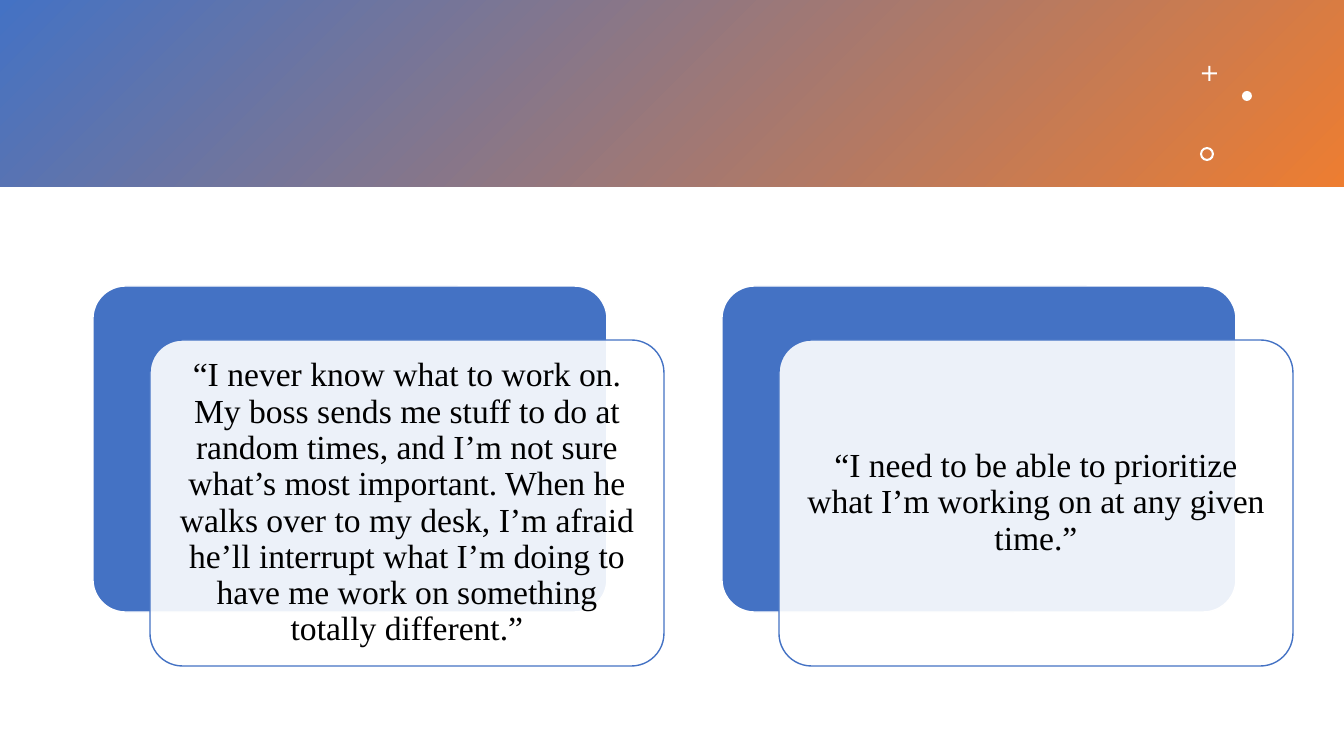
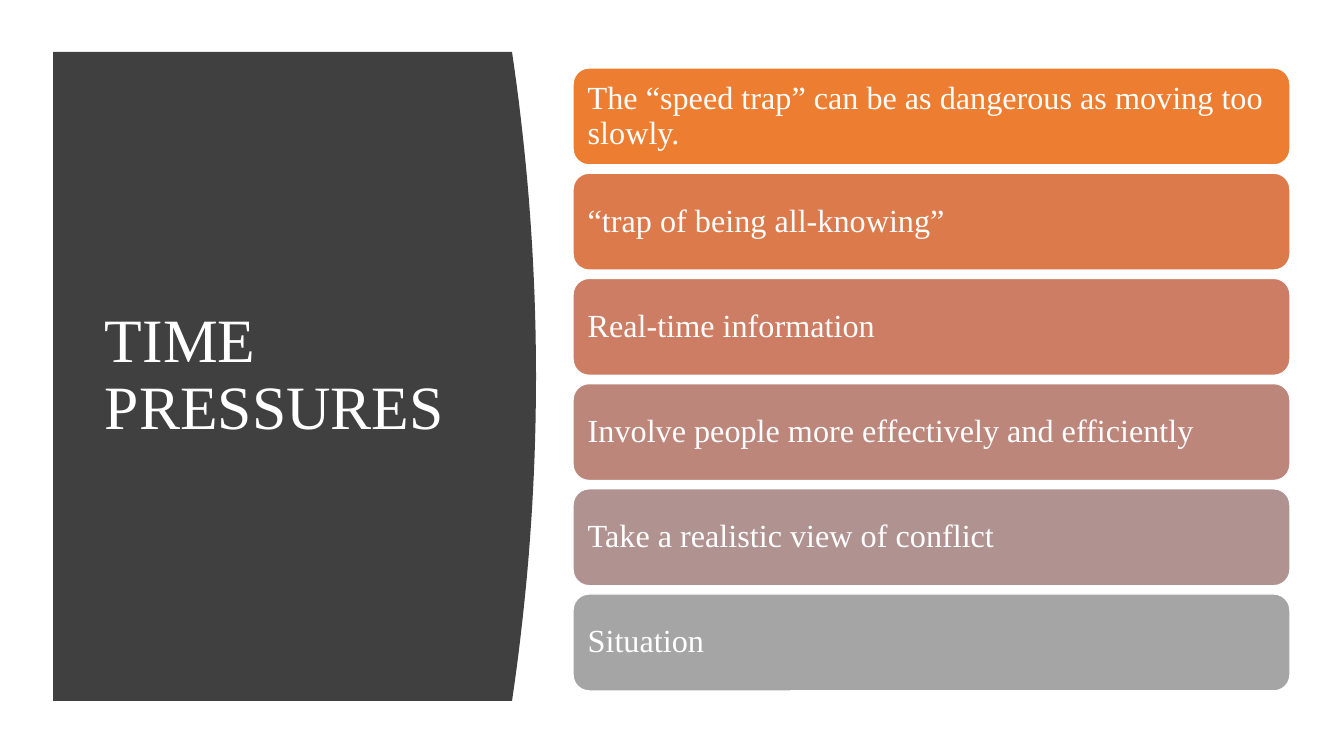
from dataclasses import dataclass

from lxml import etree
from pptx import Presentation
from pptx.dml.color import RGBColor
from pptx.enum.shapes import MSO_SHAPE
from pptx.enum.text import MSO_ANCHOR, PP_ALIGN
from pptx.oxml.ns import qn
from pptx.util import Pt

RECT, ROUNDED = MSO_SHAPE.RECTANGLE, MSO_SHAPE.ROUNDED_RECTANGLE
CROSS, OVAL, DONUT = MSO_SHAPE.CROSS, MSO_SHAPE.OVAL, MSO_SHAPE.DONUT
MIDDLE = MSO_ANCHOR.MIDDLE
LEFT, CENTER = PP_ALIGN.LEFT, PP_ALIGN.CENTER

# Content
QUOTES = [
    "“I never know what to work on. My boss sends me stuff to do at random "
    "times, and I’m not sure what’s most important. When he walks over to my "
    "desk, I’m afraid he’ll interrupt what I’m doing to have me work on "
    "something totally different.”",
    "“I need to be able to prioritize what I’m working on at any given time.”",
]
TITLE = "TIME PRESSURES"
PRESSURES = [  # text, bar colour
    ("The “speed trap” can be as dangerous as moving too slowly.", "ED7D31"),
    ("“trap of being all-knowing”", "DC7A4B"),
    ("Real-time information", "CC7D64"),
    ("Involve people more effectively and efficiently", "BD867B"),
    ("Take a realistic view of conflict", "B09391"),
    ("Situation", "A5A5A5"),
]
BAND_MARKS = [  # shape, left, top, size, adjustment
    (CROSS, 1202, 66, 15, 0.43),
    (OVAL, 1242, 91, 10, None),
    (DONUT, 1200, 147, 14, 0.15),
]


@dataclass(frozen=True)
class Theme:
    font: str = "Times New Roman"
    blue: str = "4472C4"
    orange: str = "ED7D31"
    panel: str = "404040"
    white: str = "FFFFFF"
    black: str = "000000"
    title_size: int = 44
    quote_size: int = 24
    bar_size: int = 23
    line_spacing: float = 0.9
    inset: int = 10


THEME = Theme()
SLIDE_W, SLIDE_H = 1344, 756
EMU_PER_PX = 12192000 / SLIDE_W


def px(length):
    return round(length * EMU_PER_PX)


def rgb(colour):
    return RGBColor.from_string(colour)


def style(shape, fill, line=None):
    shape.shadow.inherit = False
    shape.fill.solid()
    shape.fill.fore_color.rgb = rgb(fill)
    if line:
        shape.line.color.rgb = rgb(line)
        shape.line.width = Pt(1)
    else:
        shape.line.fill.background()


def add_block(slide, kind, box, fill, line=None, adjustment=None):
    shape = slide.shapes.add_shape(kind, *map(px, box))
    style(shape, fill, line)
    if adjustment is not None:
        shape.adjustments[0] = adjustment
    return shape


def write(shape, text, size, colour, align=LEFT):
    frame = shape.text_frame
    frame.word_wrap = True
    frame.vertical_anchor = MIDDLE
    frame.margin_left = frame.margin_right = px(THEME.inset)
    frame.margin_top = frame.margin_bottom = px(THEME.inset)
    paragraph = frame.paragraphs[0]
    paragraph.text = text
    paragraph.alignment = align
    paragraph.line_spacing = THEME.line_spacing
    paragraph.font.name = THEME.font
    paragraph.font.size = Pt(size)
    paragraph.font.color.rgb = rgb(colour)


def set_opacity(shape, percent):
    colour = shape.fill._xPr.find(qn("a:solidFill"))[0]
    etree.SubElement(colour, qn("a:alpha")).set("val", str(percent * 1000))


def build_quotes(slide):
    # Gradient band with its marks
    band = add_block(slide, RECT, (0, 0, SLIDE_W, 187), THEME.blue)
    band.fill.gradient()
    band.fill.gradient_angle = 315
    for stop, colour in zip(band.fill.gradient_stops, (THEME.blue, THEME.orange)):
        stop.color.rgb = rgb(colour)
    for kind, left, top, size, adjustment in BAND_MARKS:
        add_block(slide, kind, (left, top, size, size), THEME.white,
                  adjustment=adjustment)

    # Quote cards, each on an offset backing
    left, top, width, height = 93, 286, 514, 326
    pitch, shift_x, shift_y = 629, 57, 54
    for i, quote in enumerate(QUOTES):
        x = left + i * pitch
        add_block(slide, ROUNDED, (x, top, width, height),
                  THEME.blue, THEME.white, 0.1)
        card = add_block(slide, ROUNDED,
                         (x + shift_x, top + shift_y, width, height),
                         THEME.white, THEME.blue, 0.1)
        set_opacity(card, 90)
        write(card, quote, THEME.quote_size, THEME.black, CENTER)


def build_pressures(slide):
    # Title panel with a bowed right edge
    left, top, right, bottom, bulge, steps = 53, 52, 512, 701, 24, 40
    outline = []
    for i in range(steps + 1):
        t = i / steps
        outline.append((px(right + bulge * 4 * t * (1 - t)),
                        px(top + (bottom - top) * t)))
    outline.append((px(left), px(bottom)))
    builder = slide.shapes.build_freeform(px(left), px(top))
    builder.add_line_segments(outline, close=True)
    style(builder.convert_to_shape(), THEME.panel)

    title = slide.shapes.add_textbox(*map(px, (95, 112, 377, 528)))
    write(title, TITLE, THEME.title_size, THEME.white)

    # Equally spaced bars
    left, top, width, height, bottom = 573, 68, 717, 97, 691
    pitch = (bottom - top - height) / (len(PRESSURES) - 1)
    for i, (text, colour) in enumerate(PRESSURES):
        bar = add_block(slide, ROUNDED, (left, top + i * pitch, width, height),
                        colour, THEME.white)
        write(bar, text, THEME.bar_size, THEME.white)


def main():
    deck = Presentation()
    deck.slide_width, deck.slide_height = px(SLIDE_W), px(SLIDE_H)
    blank = deck.slide_layouts[6]
    for build in (build_quotes, build_pressures):
        build(deck.slides.add_slide(blank))
    deck.save("out.pptx")


if __name__ == "__main__":
    main()
